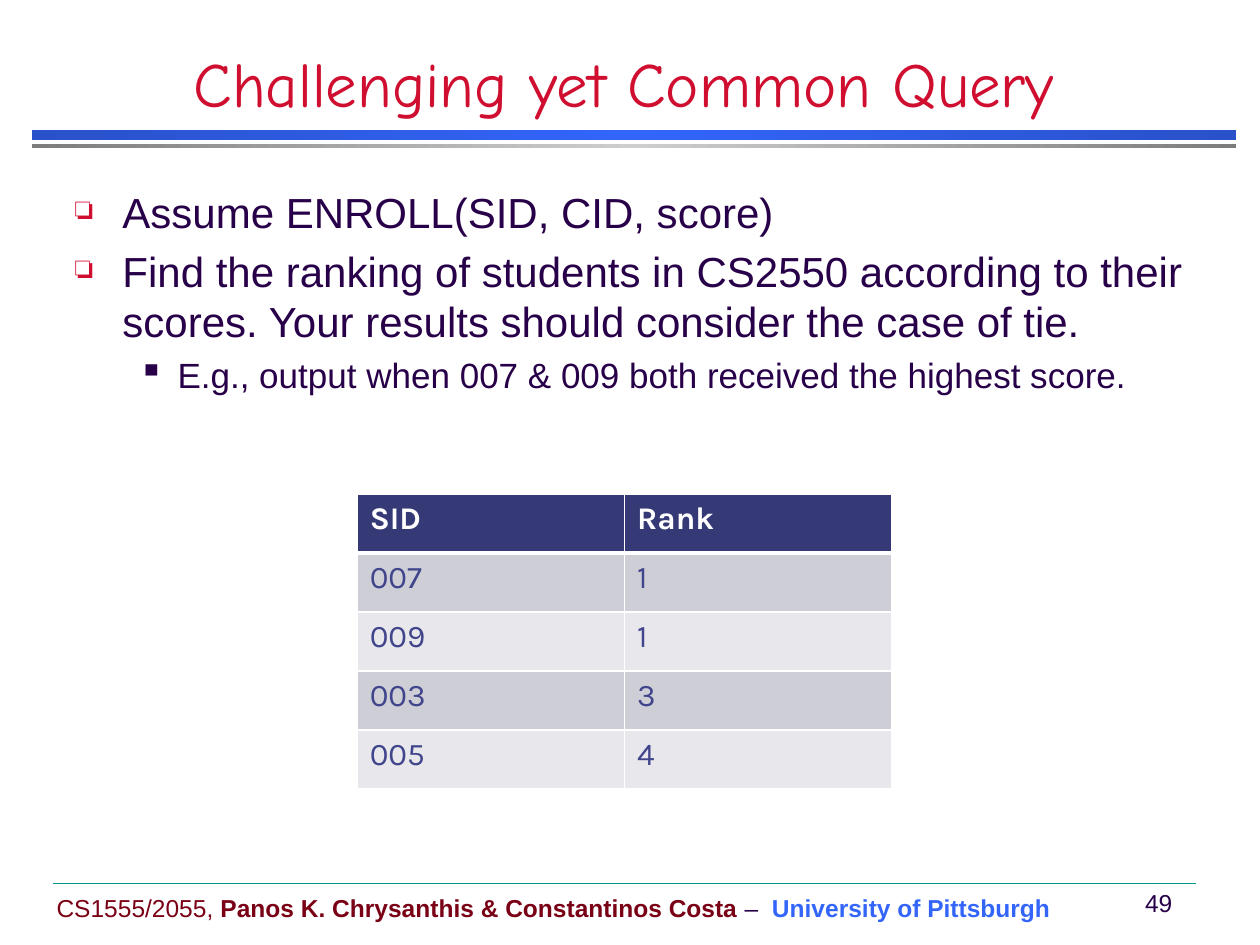
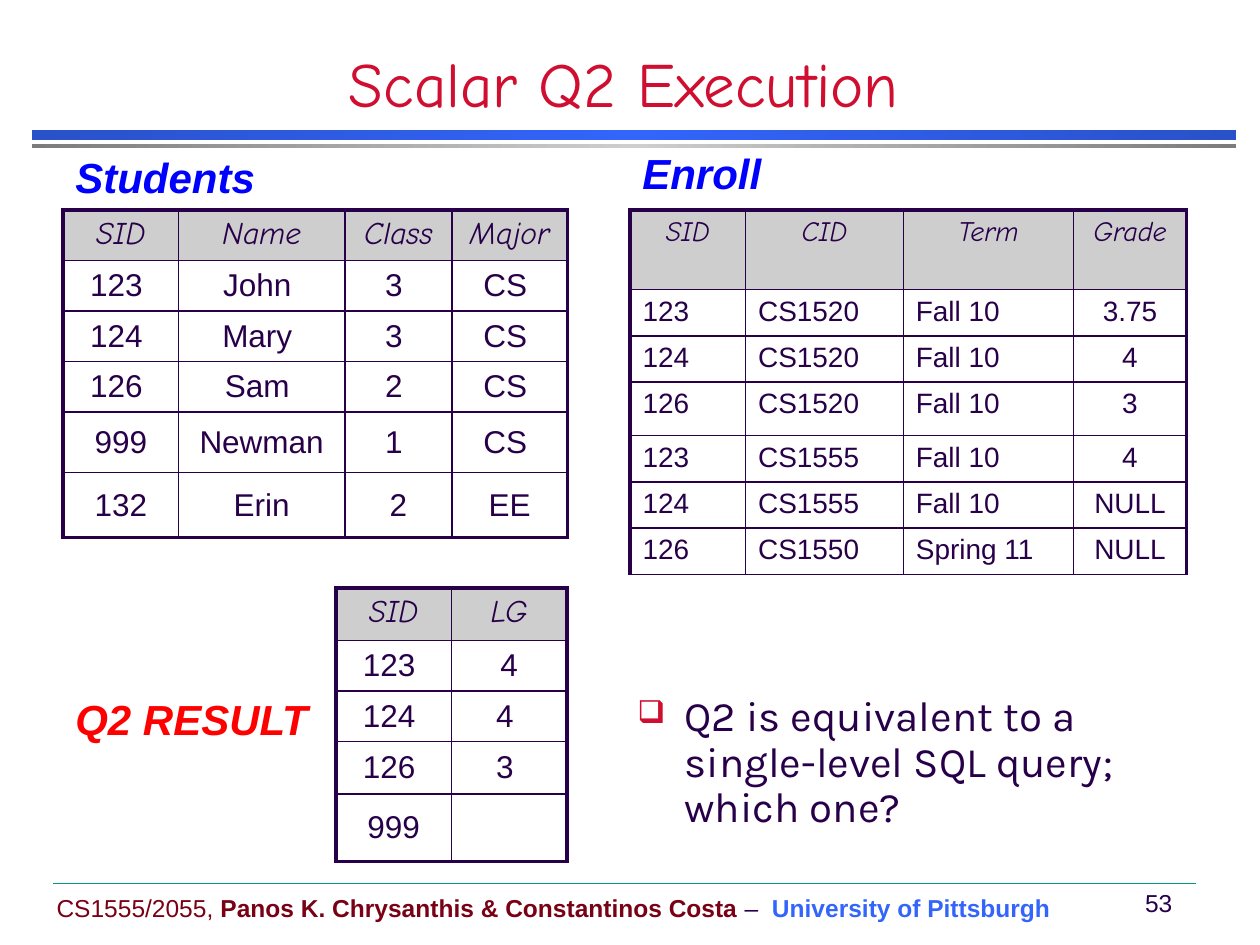
import pptx
import pptx.dml.color
import pptx.enum.shapes
import pptx.enum.text
import pptx.oxml.ns
import pptx.util
from lxml import etree

Cm = pptx.util.Cm
Pt = pptx.util.Pt
qn = pptx.oxml.ns.qn
ALIGN = pptx.enum.text.PP_ALIGN
ANCHOR = pptx.enum.text.MSO_ANCHOR

COLORS = {
    "title": "CF0E30", "ink": "280049", "maroon": "790015", "royal": "3365FB",
    "royal_dark": "2951C9", "gray": "7C7C7C", "silver": "CECECE", "teal": "009688",
    "blue": "0000FF", "red": "FF0000", "white": "FFFFFF", "navy": "353A77",
    "indigo": "40458C", "row_dark": "CECED6", "row_light": "E8E8EC",
}
SANS, HAND, SOFT = "Arial", "Comic Neue", "Karla"

# Table looks: text styles, fills by row, and border widths in points
RANK_LOOK = {
    "head": dict(size=18, font=SOFT, color="white", bold=True),
    "body": dict(size=18, font=SOFT, color="indigo"),
    "head_fill": "navy", "body_fills": ["row_dark", "row_light"],
    "border": "white", "outer": 1, "head_rule": 3, "bottom": 1,
    "head_align": ALIGN.LEFT, "anchor": ANCHOR.TOP,
}
GRID_LOOK = {
    "head": dict(size=18, font=HAND, color="ink", italic=True),
    "body": dict(size=18, font=SANS, color="ink"),
    "head_fill": "silver", "body_fills": [None],
    "border": "ink", "outer": 2.25, "head_rule": 1, "bottom": 2.25,
    "head_align": ALIGN.CENTER, "anchor": ANCHOR.MIDDLE,
}
ENROLL_LOOK = GRID_LOOK | {
    "head": GRID_LOOK["head"] | {"size": 16},
    "body": GRID_LOOK["body"] | {"size": 16},
    "bottom": 1, "anchor": ANCHOR.TOP,
}


def rgb(name):
    return pptx.dml.color.RGBColor.from_string(COLORS[name])


def add_color(parent, name):
    fill = etree.SubElement(parent, qn("a:srgbClr"))
    fill.set("val", COLORS[name])


class Lecture:
    def __init__(self):
        self.deck = pptx.Presentation()
        self.deck.slide_width, self.deck.slide_height = Cm(25.4), Cm(19.05)
        self.page = None

    def start_page(self, title, number):
        """Add a slide with the shared title, bands and footer."""
        self.page = self.deck.slides.add_slide(self.deck.slide_layouts[6])
        self.band(2.62, 0.2, "royal_dark", "royal")
        self.band(2.9, 0.08, "gray", "silver")
        footer = self.box(0.89, 17.88, 20.6, 0.84, ANCHOR.MIDDLE, wrap=False)
        credit = footer.paragraphs[0]
        self.span(credit, "CS1555/2055, ", 14, SANS, "maroon")
        self.span(credit, "Panos K. Chrysanthis & Constantinos Costa", 14, SANS,
                  "maroon", bold=True)
        self.span(credit, " – ", 14, SANS, "ink")
        self.span(credit, " University of Pittsburgh", 14, SANS, "royal", bold=True)
        corner = self.box(22.74, 17.78, 1.24, 0.84, ANCHOR.MIDDLE, wrap=False)
        corner.paragraphs[0].alignment = ALIGN.CENTER
        self.span(corner.paragraphs[0], str(number), 14, SANS, "ink")
        self.rule(1.07, 24.1, 17.81)
        heading = self.box(0, 1.07, 25.15, 1.47, ANCHOR.BOTTOM)
        heading.paragraphs[0].alignment = ALIGN.CENTER
        self.span(heading.paragraphs[0], title, 36, HAND, "title")

    def band(self, top, height, edge, middle):
        """Draw a full-width bar shaded from its edges to its middle."""
        bar = self.page.shapes.add_shape(
            pptx.enum.shapes.MSO_SHAPE.RECTANGLE, Cm(0.64), Cm(top), Cm(24.28), Cm(height))
        bar.shadow.inherit = False
        bar.line.fill.background()
        bar.fill.gradient()
        bar.fill.gradient_angle = 0
        stops = next(bar.element.iter(qn("a:gsLst")))
        for old_stop in list(stops):
            stops.remove(old_stop)
        for position, color in ((0, edge), (50000, middle), (100000, edge)):
            stop = etree.SubElement(stops, qn("a:gs"))
            stop.set("pos", str(position))
            add_color(stop, color)

    def rule(self, left, right, top):
        line = self.page.shapes.add_connector(
            pptx.enum.shapes.MSO_CONNECTOR.STRAIGHT, Cm(left), Cm(top), Cm(right), Cm(top))
        line.line.color.rgb = rgb("teal")
        line.line.width = Pt(0.25)
        etree.SubElement(line.element.spPr, qn("a:effectLst"))

    def box(self, left, top, width, height, anchor=ANCHOR.TOP, wrap=True):
        shape = self.page.shapes.add_textbox(Cm(left), Cm(top), Cm(width), Cm(height))
        frame = shape.text_frame
        frame.word_wrap = wrap
        frame.vertical_anchor = anchor
        return frame

    def span(self, para, text, size, font, color, bold=False, italic=False):
        run = para.add_run()
        run.text = text
        run.font.size, run.font.name = Pt(size), font
        run.font.bold, run.font.italic = bold, italic
        run.font.color.rgb = rgb(color)

    def label(self, left, top, width, text, color):
        para = self.box(left, top, width, 1.19).paragraphs[0]
        para.line_spacing = 0.9
        self.span(para, text, 24, SANS, color, bold=True, italic=True)

    def bullets(self, left, top, width, height, items, font, line_spacing=1.0):
        """Write (level, mark, text) items with hanging bullets."""
        frame = self.box(left, top, width, height)
        for index, (level, mark, text) in enumerate(items):
            para = frame.add_paragraph() if index else frame.paragraphs[0]
            size, margin, hang, color, scale = (
                (20, 2.06, 0.79, "ink", 100) if level else (24, 0.95, 0.95, "title", 75))
            props = para._p.get_or_add_pPr()
            props.set("marL", str(Cm(margin)))
            props.set("indent", str(-Cm(hang)))
            add_color(etree.SubElement(props, qn("a:buClr")), color)
            etree.SubElement(props, qn("a:buSzPct")).set("val", str(scale * 1000))
            etree.SubElement(props, qn("a:buChar")).set("char", mark)
            para.line_spacing = line_spacing
            if index:
                para.space_before = Pt(size * 0.2)
            self.span(para, text, size, font, "ink")

    def table(self, left, top, widths, heights, rows, look, centered=()):
        """Fill a grid; the first row is the header."""
        frame = self.page.shapes.add_table(
            len(rows), len(widths), Cm(left), Cm(top), Cm(sum(widths)), Cm(sum(heights)))
        grid = frame.table
        grid.first_row = grid.horz_banding = False
        for column, width in zip(grid.columns, widths):
            column.width = Cm(width)
        last_row, last_column = len(rows) - 1, len(widths) - 1
        for r, values in enumerate(rows):
            grid.rows[r].height = Cm(heights[r])
            fills = look["body_fills"]
            fill = fills[(r - 1) % len(fills)] if r else look["head_fill"]
            for c, value in enumerate(values):
                cell = grid.cell(r, c)
                cell.vertical_anchor = look["anchor"] if r else ANCHOR.TOP
                para = cell.text_frame.paragraphs[0]
                if r == 0:
                    para.alignment = look["head_align"]
                elif c in centered:
                    para.alignment = ALIGN.CENTER
                if value:
                    self.span(para, value, **look["body" if r else "head"])
                if fill:
                    cell.fill.solid()
                    cell.fill.fore_color.rgb = rgb(fill)
                else:
                    cell.fill.background()
                self.borders(cell, look["border"], {
                    "L": 1 if c else look["outer"],
                    "R": look["outer"] if c == last_column else 1,
                    "T": look["outer"] if r == 0 else look["head_rule"] if r == 1 else 1,
                    "B": (look["head_rule"] if r == 0
                          else look["bottom"] if r == last_row else 1),
                })

    def borders(self, cell, color, widths):
        props = cell._tc.get_or_add_tcPr()
        for index, (side, width) in enumerate(widths.items()):
            line = etree.Element(qn(f"a:ln{side}"))
            line.set("w", str(Pt(width)))
            add_color(etree.SubElement(line, qn("a:solidFill")), color)
            props.insert(index, line)


def ranking_page(lecture):
    lecture.start_page("Challenging yet Common Query", 49)
    lecture.bullets(1.27, 3.64, 23.5, 11.4, [
        (0, "❏", "Assume ENROLL(SID, CID, score)"),
        (0, "❏", "Find the ranking of students in CS2550 according to their scores. "
                 "Your results should consider the case of tie."),
        (1, "▪", "E.g., output when 007 & 009 both received the highest score."),
    ], SANS)
    ranks = [("SID", "Rank"), ("007", "1"), ("009", "1"), ("003", "3"), ("005", "4")]
    lecture.table(7.2, 9.96, [5.39] * 2, [1.19] * 5, ranks, RANK_LOOK)


def execution_page(lecture):
    lecture.start_page("Scalar Q2 Execution", 53)

    # Source tables; the spaces after values keep them left of centre
    students = [
        ("SID", "Name", "Class", "Major"),
        ("123 ", "John ", "3 ", "CS "),
        ("124 ", "Mary ", "3 ", "CS "),
        ("126 ", "Sam ", "2 ", "CS "),
        ("999", "Newman", "1 ", "CS "),
        ("132", "Erin", "2", "EE"),
    ]
    lecture.table(1.27, 4.23, [2.33, 3.35, 2.16, 2.33], [1.02] * 4 + [1.22, 1.31],
                  students, GRID_LOOK, centered=range(4))
    enroll = [
        ("SID", "CID", "Term", "Grade"),
        ("123", "CS1520", "Fall 10", "3.75"),
        ("124", "CS1520", "Fall 10", "4"),
        ("126", "CS1520", "Fall 10", "3"),
        ("123", "CS1555", "Fall 10", "4"),
        ("124", "CS1555", "Fall 10", "NULL"),
        ("126", "CS1550", "Spring 11", "NULL"),
    ]
    lecture.table(12.7, 4.23, [2.33, 3.18, 3.43, 2.28],
                  [1.61, 0.92, 0.92, 1.08] + [0.92] * 3,
                  enroll, ENROLL_LOOK, centered=[3])
    lecture.label(1.27, 3.05, 5.08, "Students", "blue")
    lecture.label(12.7, 2.96, 5.08, "Enroll", "blue")

    # Query result and question
    result = [("SID", "LG"), ("123 ", "4"), ("124 ", "4 "), ("126 ", "3 "), ("999", "")]
    lecture.table(6.77, 11.85, [2.33] * 2, [1.06, 1.02, 1.02, 1.06, 1.36],
                  result, GRID_LOOK, centered=range(2))
    lecture.label(1.27, 13.97, 5.5, "Q2 RESULT", "red")
    lecture.bullets(12.6, 13.9, 12.17, 3.25, [
        (0, "❑", "Q2 is equivalent to a single-level SQL query; which one?"),
    ], SOFT, line_spacing=0.9)


def main():
    lecture = Lecture()
    ranking_page(lecture)
    execution_page(lecture)
    lecture.deck.save("out.pptx")


if __name__ == "__main__":
    main()
